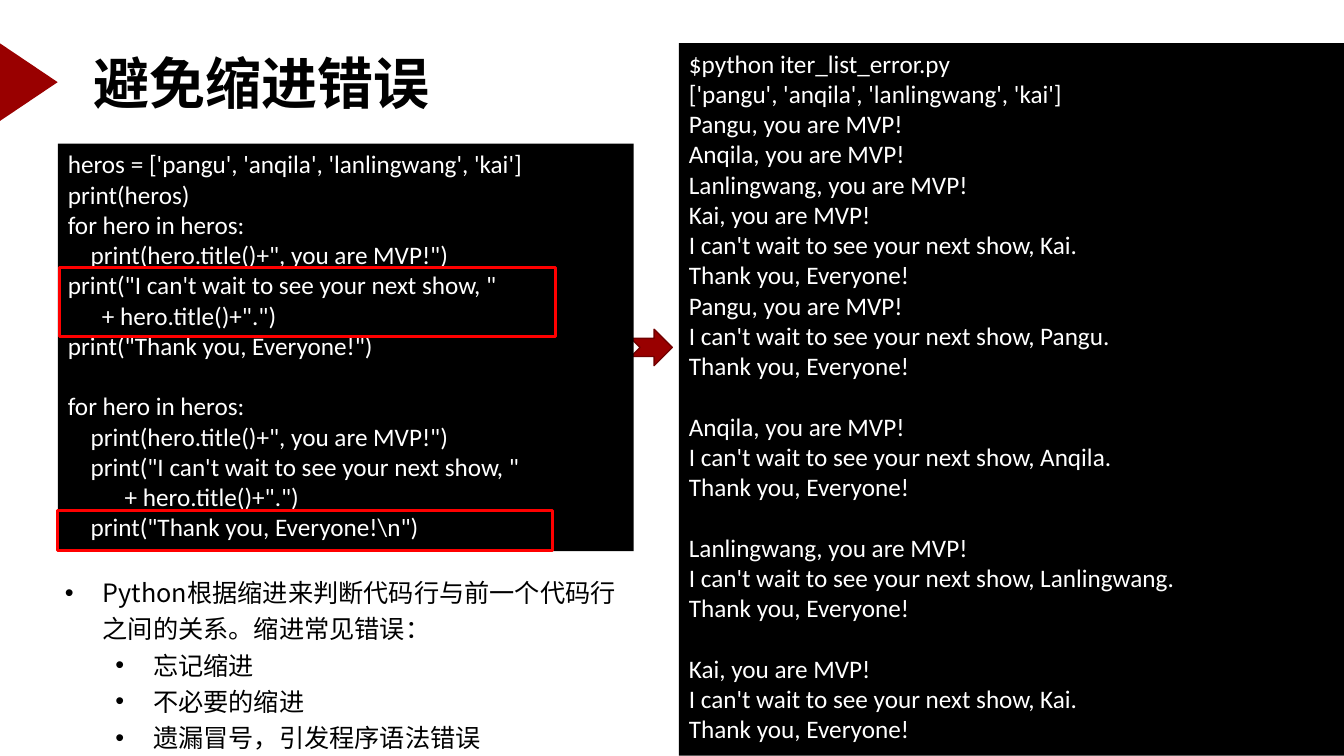
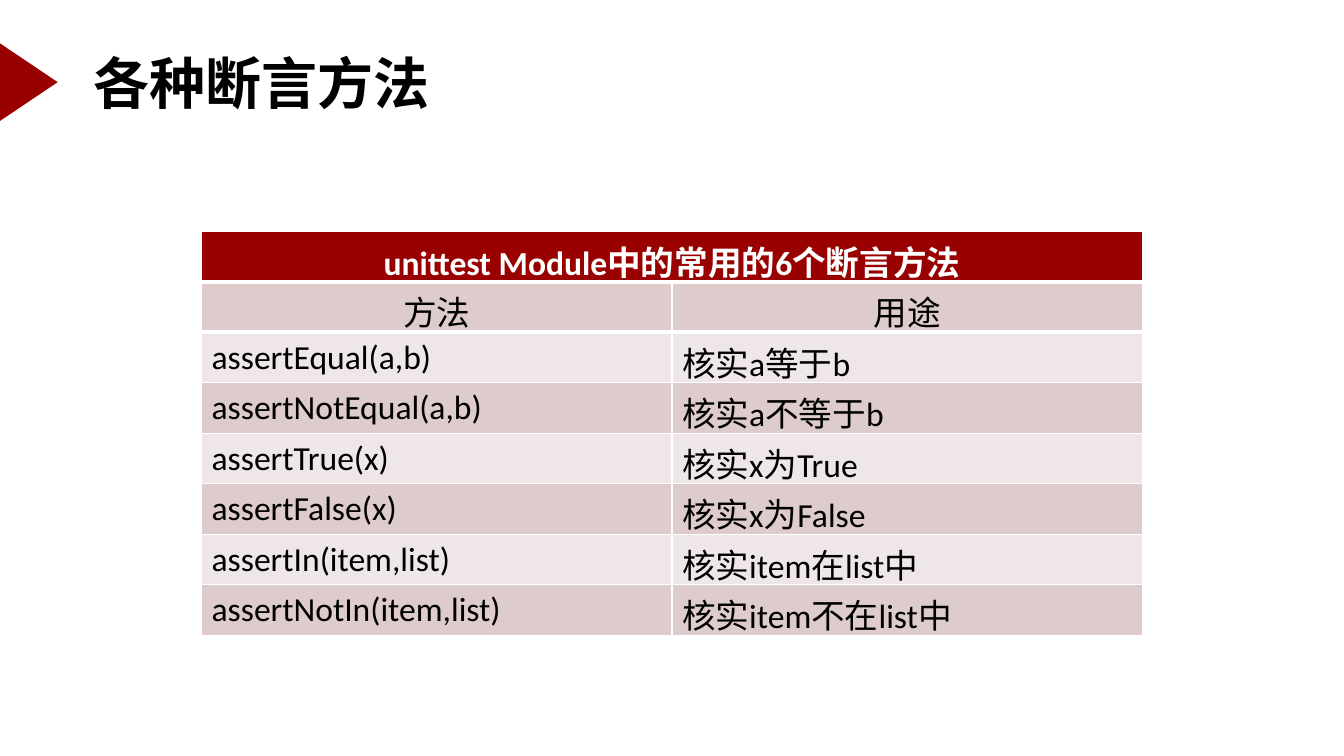
import pptx
import pptx.util
import pptx.dml.color
import pptx.enum.shapes
import pptx.enum.text
import pptx.oxml
import pptx.oxml.ns
from dataclasses import dataclass

Pt = pptx.util.Pt
Shape = pptx.enum.shapes.MSO_SHAPE
Align = pptx.enum.text.PP_ALIGN
Anchor = pptx.enum.text.MSO_ANCHOR
Fit = pptx.enum.text.MSO_AUTO_SIZE


@dataclass(frozen=True)
class Theme:
    red: str = "990000"
    edge: str = "710000"
    mark: str = "FF0000"
    black: str = "000000"
    white: str = "FFFFFF"
    bands: tuple = ("DECCCC", "EFE7E7")
    code: str = "Calibri"
    head: str = "Noto Sans CJK JP"
    body: str = "Noto Sans CJK SC"
    big: int = 40
    mid: int = 24
    small: int = 18


THEME = Theme()

CODE = r"""heros = ['pangu', 'anqila', 'lanlingwang', 'kai']
print(heros)
for hero in heros:
    print(hero.title()+", you are MVP!")
print("I can't wait to see your next show, "
      + hero.title()+".")
print("Thank you, Everyone!")

for hero in heros:
    print(hero.title()+", you are MVP!")
    print("I can't wait to see your next show, "
          + hero.title()+".")
    print("Thank you, Everyone!\n")"""

OUTPUT = """$python iter_list_error.py
['pangu', 'anqila', 'lanlingwang', 'kai']
Pangu, you are MVP!
Anqila, you are MVP!
Lanlingwang, you are MVP!
Kai, you are MVP!
I can't wait to see your next show, Kai.
Thank you, Everyone!
Pangu, you are MVP!
I can't wait to see your next show, Pangu.
Thank you, Everyone!

Anqila, you are MVP!
I can't wait to see your next show, Anqila.
Thank you, Everyone!

Lanlingwang, you are MVP!
I can't wait to see your next show, Lanlingwang.
Thank you, Everyone!

Kai, you are MVP!
I can't wait to see your next show, Kai.
Thank you, Everyone!"""

# (level, text)
NOTES = [
    (0, "Python根据缩进来判断代码行与前一个代码行之间的关系。缩进常见错误："),
    (1, "忘记缩进"),
    (1, "不必要的缩进"),
    (1, "遗漏冒号，引发程序语法错误"),
]

CAPTION = "unittest Module中的常用的6个断言方法"
ROWS = [
    ("方法", "用途"),
    ("assertEqual(a,b)", "核实a等于b"),
    ("assertNotEqual(a,b)", "核实a不等于b"),
    ("assertTrue(x)", "核实x为True"),
    ("assertFalse(x)", "核实x为False"),
    ("assertIn(item,list)", "核实item在list中"),
    ("assertNotIn(item,list)", "核实item不在list中"),
]

# left, top, width, height
TITLE = (59.8, 31, 255, 55.4)
CODE_BOX = (41.4, 102.7, 411.2, 291)
OUT_BOX = (485, 30.8, 477.4, 509)
NOTE_BOX = (41.4, 405.8, 411.2, 135)
ARROW = (450.7, 235.2, 29.5, 26)
MARKS = [(42.8, 191.2, 353.8, 49), (41.2, 364.8, 353.8, 28.6)]
TABLE = (144, 165.2, 672, 240)


def rgb(code):
    return pptx.dml.color.RGBColor.from_string(code)


def style(para, face, size, color, bold=False):
    font = para.font
    font.name, font.size, font.bold = face, Pt(size), bold
    font.color.rgb = rgb(color)
    if face != THEME.code:
        east = pptx.oxml.parse_xml(
            f'<a:ea {pptx.oxml.ns.nsdecls("a")} typeface="{face}"/>')
        font._element.find(pptx.oxml.ns.qn("a:latin")).addnext(east)


def place(item, box):
    item.left, item.top, item.width, item.height = map(Pt, box)


def draw(slide, kind, box, fill=None, line=None, width=1):
    shape = slide.shapes.add_shape(kind, *map(Pt, box))
    shape.shadow.inherit = False
    if fill:
        shape.fill.solid()
        shape.fill.fore_color.rgb = rgb(fill)
    else:
        shape.fill.background()
    if line:
        shape.line.color.rgb = rgb(line)
        shape.line.width = Pt(width)
    else:
        shape.line.fill.background()
    return shape


def start(deck, layout, text):
    """Add a slide with its title and the red pointer beside it."""
    slide = deck.slides.add_slide(deck.slide_layouts.get_by_name(layout))
    title = slide.shapes.title
    place(title, TITLE)
    frame = title.text_frame
    frame.text = text
    frame.word_wrap = False
    frame.auto_size = Fit.NONE
    frame.vertical_anchor = Anchor.MIDDLE
    frame.paragraphs[0].alignment = Align.LEFT
    style(frame.paragraphs[0], THEME.head, THEME.big, THEME.black, True)
    wide, high = 55.4, 41.2
    box = ((high - wide) / 2, TITLE[1] + (wide - high) / 2, wide, high)
    tip = draw(slide, Shape.ISOSCELES_TRIANGLE, box, THEME.red)
    tip.rotation = 90
    return slide


def listing(slide, box, text):
    """Add a black panel of program text."""
    frame = draw(slide, Shape.RECTANGLE, box, THEME.black).text_frame
    frame.text = text
    frame.word_wrap = True
    frame.vertical_anchor = Anchor.TOP
    for para in frame.paragraphs:
        para.alignment = Align.LEFT
        style(para, THEME.code, THEME.small, THEME.white)


def bullets(holder, box, items):
    place(holder, box)
    frame = holder.text_frame
    frame.text = "\n".join(text for _, text in items)
    frame.auto_size = Fit.NONE
    frame.margin_left = frame.margin_right = Pt(5)
    frame.margin_top = frame.margin_bottom = Pt(2.2)
    for para, (level, _) in zip(frame.paragraphs, items):
        para.level = level
        para.line_spacing = 1.2
        para.space_before = Pt(0)
        props = para._p.get_or_add_pPr()
        props.set("marL", str(Pt(27 + 36 * level)))
        props.set("indent", str(Pt(-27)))
        for tag in ('buFont typeface="Arial"', 'buChar char="•"'):
            props.append(pptx.oxml.parse_xml(
                f'<a:{tag} {pptx.oxml.ns.nsdecls("a")}/>'))
        style(para, THEME.body, THEME.small, THEME.black)


def put(cell, text, fill, color, center, bold=False):
    cell.text = text
    cell.fill.solid()
    cell.fill.fore_color.rgb = rgb(fill)
    cell.margin_bottom = Pt(-2.4)  # keeps rows tight under tall glyphs
    para = cell.text_frame.paragraphs[0]
    para.alignment = Align.CENTER if center else Align.LEFT
    style(para, THEME.code, THEME.mid, color, bold)


def rule(cell, side, width):
    """Draw a white border on one side of a cell."""
    cell._tc.get_or_add_tcPr().insert(0, pptx.oxml.parse_xml(
        f'<a:{side} {pptx.oxml.ns.nsdecls("a")} w="{Pt(width)}"><a:solidFill>'
        f'<a:srgbClr val="{THEME.white}"/></a:solidFill></a:{side}>'))


def grid(slide, box, caption, rows):
    count = len(rows) + 1
    table = slide.shapes.add_table(count, 2, *map(Pt, box)).table
    table.cell(0, 0).merge(table.cell(0, 1))
    put(table.cell(0, 0), caption, THEME.red, THEME.white, True, True)
    for r, row in enumerate(rows):
        for c, text in enumerate(row):
            put(table.cell(r + 1, c), text, THEME.bands[r % 2],
                THEME.black, r == 0)
    for c in range(2):
        rule(table.cell(0, c), "lnB", 3)
        rule(table.cell(1, c), "lnT", 3)


def main():
    deck = pptx.Presentation()
    deck.slide_width, deck.slide_height = Pt(960), Pt(540)

    slide = start(deck, "Title and Content", "避免缩进错误")
    listing(slide, OUT_BOX, OUTPUT)
    bullets(slide.placeholders[1], NOTE_BOX, NOTES)
    draw(slide, Shape.NOTCHED_RIGHT_ARROW, ARROW, THEME.red, THEME.edge)
    listing(slide, CODE_BOX, CODE)
    for box in MARKS:
        draw(slide, Shape.RECTANGLE, box, line=THEME.mark, width=2.25)

    slide = start(deck, "Title Only", "各种断言方法")
    grid(slide, TABLE, CAPTION, ROWS)

    deck.save("out.pptx")


if __name__ == "__main__":
    main()
